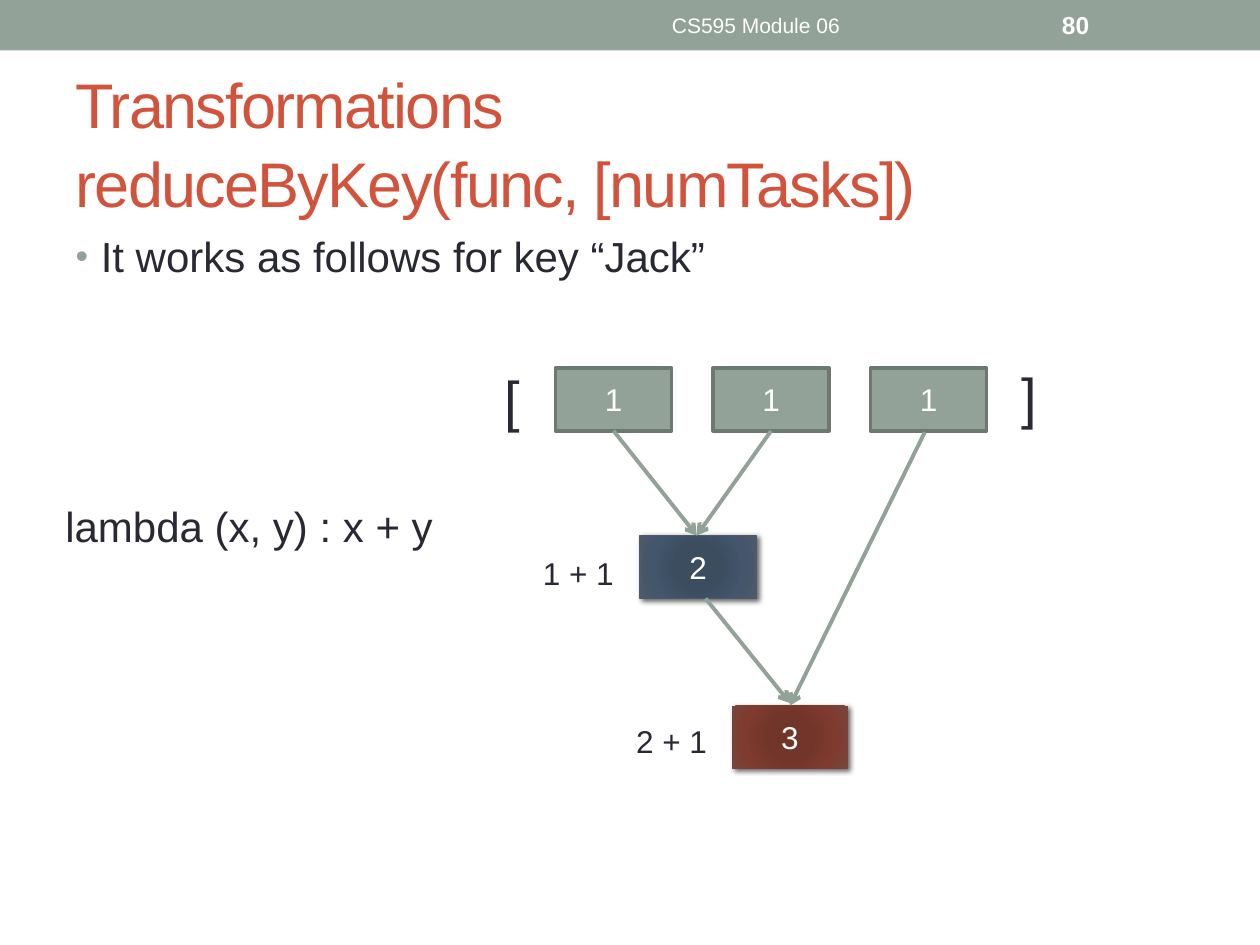
from dataclasses import dataclass
from typing import Optional

from lxml import etree
from pptx import Presentation
from pptx.dml.color import RGBColor
from pptx.enum.shapes import MSO_CONNECTOR as CONN, MSO_SHAPE as SHAPE
from pptx.enum.text import MSO_ANCHOR as ANCHOR, MSO_AUTO_SIZE as FIT, PP_ALIGN as ALIGN
from pptx.oxml import parse_xml
from pptx.oxml.ns import nsdecls, qn
from pptx.util import Pt

PX = 9144
SAGE, INK, WHITE, RUST = "93A299", "292934", "FFFFFF", "D2533C"
BOX_W, BOX_H = 92, 50


@dataclass
class Box:
    x: int
    y: int
    text: str
    fill: str = SAGE
    line: Optional[str] = None
    width: float = 0.75
    stops: tuple[str, ...] = ()


@dataclass
class Label:
    x: int
    y: int
    w: int
    h: int
    text: str
    size: int
    color: str = INK
    bold: bool = False
    wrap: bool = False
    align: Optional[ALIGN] = None
    anchor: ANCHOR = ANCHOR.TOP


@dataclass
class Arrow:
    x1: int
    y1: int
    x2: int
    y2: int


BLUE = ("3B4D61", "3C4D60", "43566B", "4C5A6A")
RED = ("743327", "72352A", "7F3B2F", "79463D")
BOXES = [Box(441 + 125 * i, 292, "1", line="6D7871", width=2.08) for i in range(3)] + [
    Box(508, 425, "2", line="4C5A6A", stops=BLUE),
    Box(581, 560, "3", stops=RED),
]
ARROWS = [
    Arrow(487, 342, 553, 425),
    Arrow(612, 342, 553, 425),
    Arrow(560, 475, 627, 558),
    Arrow(734, 343, 627, 560),
]
LABELS = [
    Label(391, 285, 33, 64, "[", 32),
    Label(801, 283, 33, 64, "]", 32),
    Label(421, 435, 77, 40, "1 + 1", 18),
    Label(495, 568, 77, 40, "2 + 1", 18),
    Label(42, 392, 315, 50, "lambda (x, y) : x + y", 24),
    Label(375, 2, 450, 36, "CS595 Module 06", 12, WHITE, wrap=True,
          align=ALIGN.CENTER, anchor=ANCHOR.MIDDLE),
    Label(833, 2, 117, 36, "80", 14, WHITE, bold=True, wrap=True, anchor=ANCHOR.MIDDLE),
]


def rgb(color: str) -> RGBColor:
    return RGBColor.from_string(color)


def emu(*lengths: int) -> list[int]:
    return [n * PX for n in lengths]


def place(s, x: int, y: int, w: int, h: int) -> None:
    s.left, s.top, s.width, s.height = emu(x, y, w, h)


def style(p, size: int, color: str, bold: bool = False) -> None:
    for r in p.runs:
        r.font.name, r.font.size, r.font.bold = "Arial", Pt(size), bold
        r.font.color.rgb = rgb(color)


def add_rect(slide, x: int, y: int, w: int, h: int, fill: str):
    s = slide.shapes.add_shape(SHAPE.RECTANGLE, *emu(x, y, w, h))
    s.shadow.inherit = False
    s.fill.solid()
    s.fill.fore_color.rgb = rgb(fill)
    s.line.fill.background()
    return s


def add_glow_fill(s, stops: tuple[str, ...]) -> None:
    gs = "".join(
        f'<a:gs pos="{pos}000"><a:srgbClr val="{color}"/></a:gs>'
        for pos, color in zip((0, 34, 70, 100), stops)
    )
    grad = parse_xml(
        f'<a:gradFill {nsdecls("a")}><a:gsLst>{gs}</a:gsLst><a:path path="circle">'
        '<a:fillToRect l="100000" t="100000" r="100000" b="100000"/></a:path></a:gradFill>'
    )
    shadow = parse_xml(
        f'<a:outerShdw {nsdecls("a")} blurRad="38100" dist="25400" dir="2700000" '
        'rotWithShape="0"><a:srgbClr val="000000"><a:alpha val="60000"/></a:srgbClr></a:outerShdw>'
    )
    pr = s._element.spPr
    pr.replace(pr.find(qn("a:solidFill")), grad)
    pr.find(qn("a:effectLst")).append(shadow)


def add_box(slide, box: Box) -> None:
    s = add_rect(slide, box.x, box.y, BOX_W, BOX_H, box.fill)
    if box.line:
        s.line.color.rgb = rgb(box.line)
        s.line.width = Pt(box.width)
    if box.stops:
        add_glow_fill(s, box.stops)
    tf = s.text_frame
    tf.text = box.text
    tf.vertical_anchor = ANCHOR.MIDDLE
    p = tf.paragraphs[0]
    p.alignment = ALIGN.CENTER
    style(p, 18, WHITE)


def add_label(slide, label: Label) -> None:
    s = slide.shapes.add_textbox(*emu(label.x, label.y, label.w, label.h))
    tf = s.text_frame
    tf.text = label.text
    tf.word_wrap = label.wrap
    tf.auto_size = FIT.NONE if label.wrap else FIT.SHAPE_TO_FIT_TEXT
    tf.vertical_anchor = label.anchor
    p = tf.paragraphs[0]
    p.alignment = label.align
    style(p, label.size, label.color, label.bold)


def add_arrow(slide, a: Arrow) -> None:
    s = slide.shapes.add_connector(CONN.STRAIGHT, *emu(a.x1, a.y1, a.x2, a.y2))
    s.line.color.rgb = rgb(SAGE)
    s.line.width = Pt(2.25)
    etree.SubElement(s.line._get_or_add_ln(), qn("a:tailEnd"), type="arrow")
    etree.SubElement(s._element.spPr, qn("a:effectLst"))


def fill_title(s) -> None:
    place(s, 50, 58, 900, 108)
    tf = s.text_frame
    tf.text = "Transformations\vreduceByKey(func, [numTasks])"
    tf.auto_size = FIT.NONE
    tf.vertical_anchor = ANCHOR.MIDDLE
    p = tf.paragraphs[0]
    p.alignment = ALIGN.LEFT
    p.line_spacing = 1.05
    style(p, 36, RUST)
    for r in p.runs:
        r.font._element.set("spc", "-100")


def fill_body(s) -> None:
    place(s, 50, 178, 900, 75)
    tf = s.text_frame
    tf.text = "It works as follows for key “Jack”"
    tf.auto_size = FIT.NONE
    p = tf.paragraphs[0]
    pr = p._p.get_or_add_pPr()
    pr.set("marL", str(20 * PX))
    pr.set("indent", str(-20 * PX))
    color = etree.SubElement(pr, qn("a:buClr"))
    etree.SubElement(color, qn("a:srgbClr"), val=SAGE)
    etree.SubElement(pr, qn("a:buSzPct"), val="85000")
    etree.SubElement(pr, qn("a:buFont"), typeface="Arial")
    etree.SubElement(pr, qn("a:buChar"), char="•")
    p.space_before = Pt(0)
    style(p, 24, INK)


def main() -> None:
    prs = Presentation()
    prs.slide_width, prs.slide_height = emu(1000, 750)
    slide = prs.slides.add_slide(prs.slide_layouts[1])
    add_rect(slide, 0, 0, 1000, 40, SAGE)
    fill_title(slide.shapes.title)
    fill_body(slide.placeholders[1])
    for box in BOXES:
        add_box(slide, box)
    for arrow in ARROWS:
        add_arrow(slide, arrow)
    for label in LABELS:
        add_label(slide, label)
    prs.save("out.pptx")


if __name__ == "__main__":
    main()
